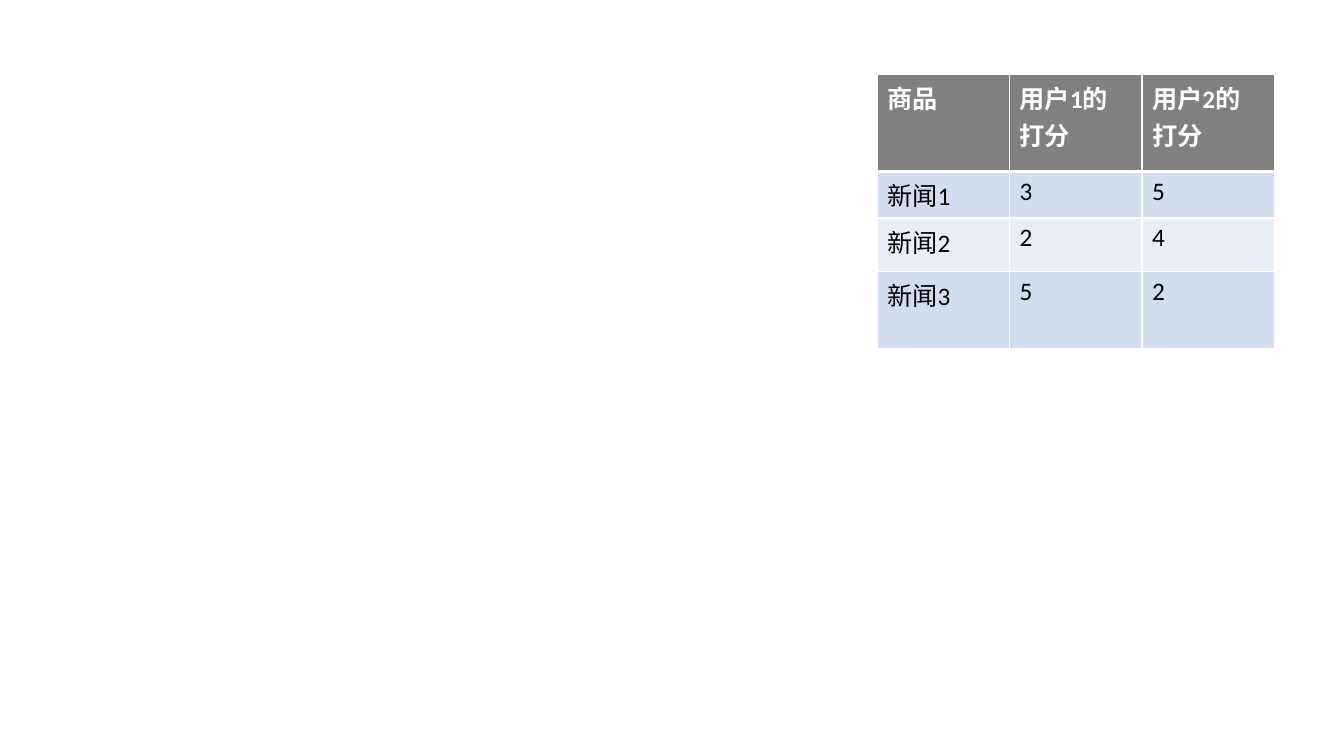
from lxml import etree
from pptx import Presentation
from pptx import util as u
from pptx.dml.color import RGBColor
from pptx.oxml import ns

COLORS = {
    "header": "808080",
    "band_dark": "D2DEEF",
    "band_light": "EAEFF7",
    "line": "FFFFFF",
    "header_text": "FFFFFF",
    "body_text": "000000",
}


class ScorePage:
    """Holds the style and the current slide; lengths are percent of the slide."""

    font_name = "Calibri"
    font_size = 18

    def __init__(self, deck):
        self.deck = deck
        self.page = deck.slides.add_slide(deck.slide_layouts[6])

    def across(self, percent):
        return round(self.deck.slide_width * percent / 100)

    def down(self, percent):
        return round(self.deck.slide_height * percent / 100)

    def border(self, cell, side, points):
        line = etree.SubElement(cell._tc.get_or_add_tcPr(), ns.qn(f"a:ln{side}"),
                                w=str(u.Pt(points)))
        fill = etree.SubElement(line, ns.qn("a:solidFill"))
        etree.SubElement(fill, ns.qn("a:srgbClr"), val=COLORS["line"])

    def cell(self, cell, content, fill, color, bold, widths):
        # Borders come before the fill in the cell properties
        for side, points in widths.items():
            self.border(cell, side, points)
        cell.fill.solid()
        cell.fill.fore_color.rgb = RGBColor.from_string(COLORS[fill])
        cell.text = content
        font = cell.text_frame.paragraphs[0].font
        font.name = self.font_name
        font.size = u.Pt(self.font_size)
        font.bold = bold
        font.color.rgb = RGBColor.from_string(COLORS[color])

    def table(self, left, top, column_width, row_heights, rows):
        columns = len(rows[0])
        table = self.page.shapes.add_table(
            len(rows), columns, self.across(left), self.down(top),
            self.across(column_width * columns), self.down(sum(row_heights))).table
        table.horz_banding = False
        for column in table.columns:
            column.width = self.across(column_width)
        for index, (height, contents) in enumerate(zip(row_heights, rows)):
            table.rows[index].height = self.down(height)
            header = index == 0
            band = "band_dark" if index % 2 else "band_light"
            # A thick rule parts the header from the body
            widths = {"L": 1, "R": 1, "T": 3 if index == 1 else 1, "B": 3 if header else 1}
            for column, content in enumerate(contents):
                self.cell(table.cell(index, column), content,
                          "header" if header else band,
                          "header_text" if header else "body_text", header, widths)


def main():
    deck = Presentation()
    deck.slide_width = u.Inches(13.33)
    deck.slide_height = u.Inches(7.5)

    # Score table
    ScorePage(deck).table(
        left=65.27, top=9.87, column_width=9.85,
        row_heights=[12.8, 6.13, 7.07, 10.27],
        rows=[
            ["商品", "用户1的打分", "用户2的打分"],
            ["新闻1", "3", "5"],
            ["新闻2", "2", "4"],
            ["新闻3", "5", "2"],
        ])
    deck.save("out.pptx")


if __name__ == "__main__":
    main()
